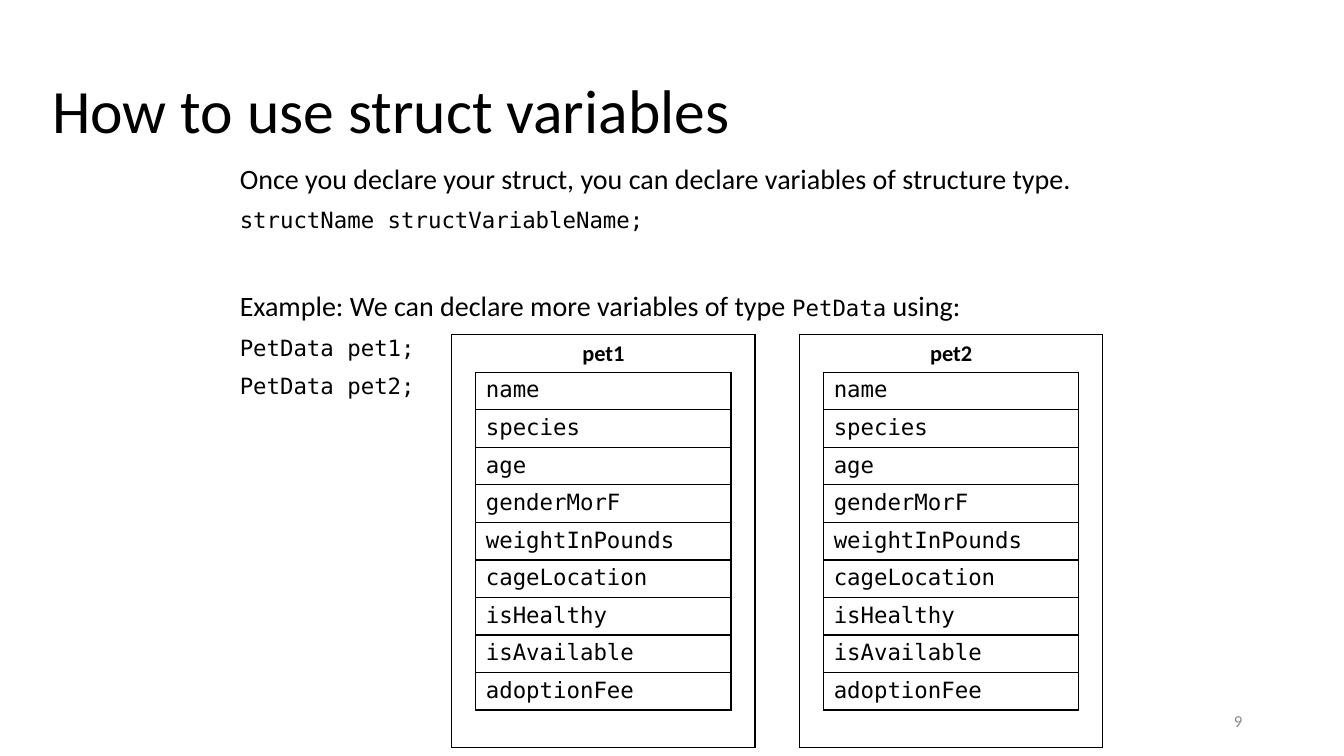
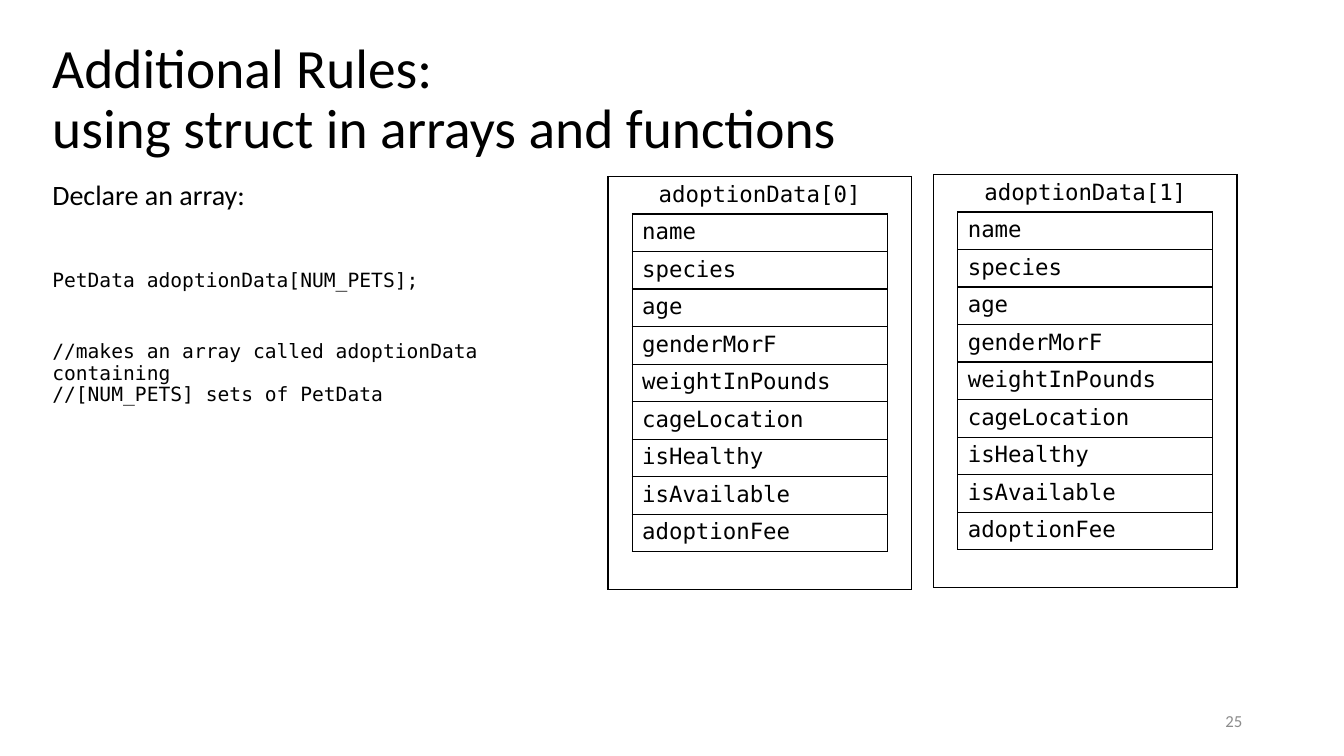
import pptx
import pptx.dml.color
import pptx.enum.text
import pptx.oxml
import pptx.oxml.ns
import pptx.util

Inches = pptx.util.Inches
Pt = pptx.util.Pt
Align = pptx.enum.text.PP_ALIGN
Anchor = pptx.enum.text.MSO_ANCHOR

FIELDS = ["name", "species", "age", "genderMorF", "weightInPounds",
          "cageLocation", "isHealthy", "isAvailable", "adoptionFee"]


def color(value):
    return pptx.dml.color.RGBColor.from_string(value)


class Deck:
    """Holds the shared style and the current slide."""

    INK, PAPER, MUTED = "000000", "FFFFFF", "8C8C8C"
    BODY, CODE = "Calibri", "DejaVu Sans Mono"
    COLS = [0.23, 2.53, 0.23]
    ROW = 4.1 / 11
    SIDES = {"L": (0, -1), "R": (0, 1), "T": (-1, 0), "B": (1, 0)}

    def __init__(self):
        self.file = pptx.Presentation()
        self.file.slide_width = Inches(13.33)
        self.file.slide_height = Inches(7.5)
        self.slide = None

    def style(self, font, name, size, ink=INK, bold=False):
        font.name, font.size, font.bold = name, Pt(size), bold
        font.color.rgb = color(ink)

    def frame(self, left, top, width, height, anchor=Anchor.TOP):
        box = self.slide.shapes.add_textbox(
            Inches(left), Inches(top), Inches(width), Inches(height))
        frame = box.text_frame
        frame.word_wrap = True
        frame.vertical_anchor = anchor
        return frame

    def page(self, title, size, height, number):
        self.slide = self.file.slides.add_slide(self.file.slide_layouts[6])
        para = self.frame(0.42, 0.4, 12.5, height, Anchor.MIDDLE).paragraphs[0]
        para.text = title
        para.line_spacing = 0.9
        self.style(para.font, self.BODY, size)
        para = self.frame(9.42, 6.95, 3, 0.4, Anchor.MIDDLE).paragraphs[0]
        para.text = str(number)
        para.alignment = Align.RIGHT
        self.style(para.font, self.BODY, 12, self.MUTED)

    def body(self, left, top, width, lines):
        frame = self.frame(left, top, width, 4.95)
        for index, (text, name, size, before) in enumerate(lines):
            para = frame.add_paragraph() if index else frame.paragraphs[0]
            para.line_spacing = 0.9
            para.space_before = Pt(before)
            self.style(para.font, name, size)
            parts = text.split("`")
            if len(parts) == 1:
                para.text = text
                continue
            for place, part in enumerate(parts):
                run = para.add_run()
                run.text = part
                if place % 2:
                    self.style(run.font, self.CODE, 16)

    def edge(self, cell, side, shown):
        fill = (f'<a:solidFill><a:srgbClr val="{self.INK}"/></a:solidFill>'
                if shown else "<a:noFill/>")
        cell._tc.get_or_add_tcPr().append(pptx.oxml.parse_xml(
            f'<a:ln{side} {pptx.oxml.ns.nsdecls("a")} w="{Pt(1)}">'
            f'{fill}</a:ln{side}>'))

    def record(self, left, top, head, name, bold=False):
        texts = [head, *FIELDS, ""]
        rows, cols = len(texts), len(self.COLS)
        table = self.slide.shapes.add_table(
            rows, cols, Inches(left), Inches(top),
            Inches(sum(self.COLS)), Inches(rows * self.ROW)).table
        table.first_row = table.horz_banding = False
        for col, width in zip(table.columns, self.COLS):
            col.width = Inches(width)
        inner = {(row, 1) for row in range(1, rows - 1)}
        for row, text in enumerate(texts):
            table.rows[row].height = Inches(self.ROW)
            for col in range(cols):
                cell = table.cell(row, col)
                for side, (down, right) in self.SIDES.items():
                    near = row + down, col + right
                    outer = not (0 <= near[0] < rows and 0 <= near[1] < cols)
                    self.edge(cell, side, outer or inner & {(row, col), near})
                cell.fill.solid()
                cell.fill.fore_color.rgb = color(self.PAPER)
                if col != 1 or not text:
                    cell.margin_top = cell.margin_bottom = 0
                    continue
                para = cell.text_frame.paragraphs[0]
                para.text = text
                if row:
                    self.style(para.font, self.CODE, 16)
                else:
                    para.alignment = Align.CENTER
                    self.style(para.font, name, 16, bold=bold)


def main():
    deck = Deck()
    body, code = deck.BODY, deck.CODE

    deck.page("How to use struct variables", 44, 1.45, 9)
    deck.body(2.28, 1.59, 9.1, [
        ("Once you declare your struct, you can declare variables of structure type.",
         body, 20, 10),
        ("structName structVariableName;", code, 16, 10),
        ("Example: We can declare more variables of type `PetData` using:",
         body, 20, 42),
        ("PetData pet1;", code, 16, 10),
        ("PetData pet2;", code, 16, 10)])
    for left, head in [(4.48, "pet1"), (7.93, "pet2")]:
        deck.record(left, 3.32, head, body, bold=True)

    deck.page("Additional Rules:\vusing struct in arrays and functions", 39.6, 1.19, 25)
    deck.body(0.42, 1.75, 5.39, [
        ("Declare an array:", body, 20, 10),
        ("PetData adoptionData[NUM_PETS];", code, 14, 42),
        ("//makes an array called adoptionData containing\v"
         "//[NUM_PETS] sets of PetData", code, 14, 36)])
    for index, (left, top) in enumerate([(6.03, 1.75), (9.26, 1.73)]):
        deck.record(left, top, f"adoptionData[{index}]", code)

    deck.file.save("out.pptx")


if __name__ == "__main__":
    main()
